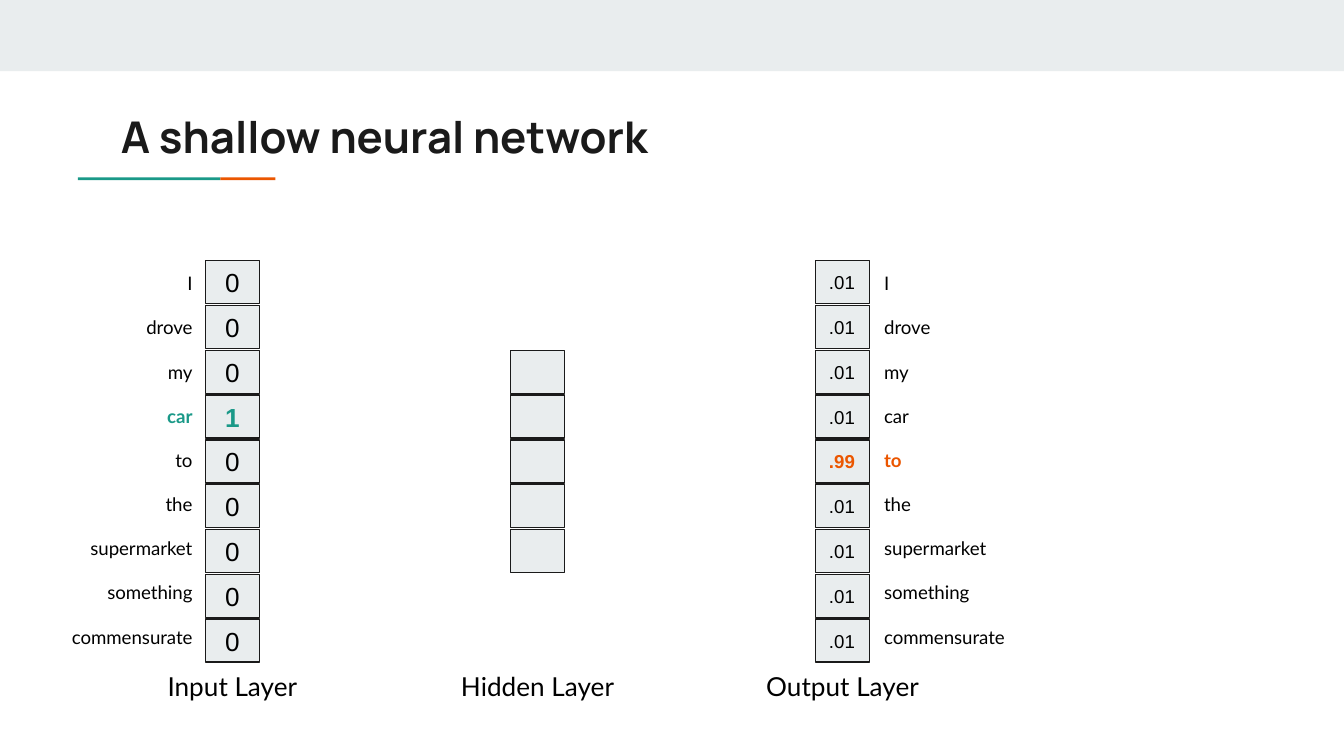
from dataclasses import dataclass

from pptx import Presentation
from pptx import util as u
from pptx.dml.color import RGBColor
from pptx.enum import shapes, text


@dataclass(frozen=True)
class Theme:
    ink: str = "1A1A1A"
    black: str = "000000"
    pale: str = "E9EDEE"
    teal: str = "1A9988"
    orange: str = "EB5600"
    title_font: str = "Manrope"
    label_font: str = "Lato"
    cell_font: str = "Arial"
    title_size: float = 23.4
    large: float = 14
    small: float = 10


THEME = Theme()
LEFT, CENTER, RIGHT = text.PP_ALIGN.LEFT, text.PP_ALIGN.CENTER, text.PP_ALIGN.RIGHT

WORDS = ["I", "drove", "my", "car", "to", "the",
         "supermarket", "something", "commensurate"]
WIDE_WORDS = {"supermarket": 1.1, "commensurate": 1.19}
WORD_WIDTH = 0.89
INPUT_WORD, OUTPUT_WORD = "car", "to"
HIDDEN_ROWS = range(2, 7)

# Grid in inches: one row per word, one column of cells per layer
WIDTH = 10
HEIGHT = WIDTH * 9 / 16
TOP, LAST_WORD_TOP = 1.94, 4.57
CELL_PITCH = 1 / 3
WORD_PITCH = (LAST_WORD_TOP - TOP) / (len(WORDS) - 1)
CELL_WIDTH, CELL_HEIGHT = 0.4, 0.32
INPUT_X, HIDDEN_X, OUTPUT_X = 1.53, 3.8, 6.07
CAPTION_Y, CAPTION_HEIGHT, WORD_HEIGHT = 4.89, 0.44, 0.37


def inches(*lengths):
    return [u.Inches(length) for length in lengths]


def write(shape, words, size, font, color=THEME.black, bold=False,
          align=LEFT, anchor=text.MSO_ANCHOR.TOP):
    frame = shape.text_frame
    frame.word_wrap = True
    frame.vertical_anchor = anchor
    frame.margin_left = frame.margin_right = u.Inches(0.1)
    frame.margin_top = frame.margin_bottom = u.Inches(0.1)
    para = frame.paragraphs[0]
    para.alignment = align
    span = para.add_run()
    span.text = words
    span.font.size = u.Pt(size)
    span.font.name = font
    span.font.bold = bold
    span.font.color.rgb = RGBColor.from_string(color)


def add_block(page, x, y, width, height, fill, line=None):
    block = page.shapes.add_shape(
        shapes.MSO_SHAPE.RECTANGLE, *inches(x, y, width, height))
    block.shadow.inherit = False
    block.fill.solid()
    block.fill.fore_color.rgb = RGBColor.from_string(fill)
    if line:
        block.line.color.rgb = RGBColor.from_string(line)
        block.line.width = u.Pt(0.75)
    else:
        block.line.fill.background()
    return block


def add_label(page, x, y, width, height, words, size, **style):
    box = page.shapes.add_textbox(*inches(x, y, width, height))
    write(box, words, size, THEME.label_font, **style)


def add_cell(page, x, row):
    return add_block(page, x, TOP + row * CELL_PITCH, CELL_WIDTH, CELL_HEIGHT,
                     THEME.pale, THEME.ink)


def add_caption(page, x, width, words):
    """Centre a layer name below its column of cells."""
    add_label(page, x + (CELL_WIDTH - width) / 2, CAPTION_Y, width,
              CAPTION_HEIGHT, words, THEME.large, align=CENTER)


def add_word_layer(page, x, active, accent, on, off, size, cell_align, word_align):
    """Draw a column of values with a word beside each one."""
    for row, word in enumerate(WORDS):
        is_active = word == active
        style = {"color": accent if is_active else THEME.black, "bold": is_active}
        write(add_cell(page, x, row), on if is_active else off, size,
              THEME.cell_font, align=cell_align,
              anchor=text.MSO_ANCHOR.MIDDLE, **style)
        width = WIDE_WORDS.get(word, WORD_WIDTH)
        word_x = x - width if word_align == RIGHT else x + CELL_WIDTH + 0.01
        add_label(page, word_x, TOP + row * WORD_PITCH, width, WORD_HEIGHT,
                  word, THEME.small, align=word_align, **style)


def add_heading(page):
    # Band across the top and two-colour rule under the title
    add_block(page, 0, 0, WIDTH, 0.53, THEME.pale)
    add_block(page, 0.58, 1.32, 1.06, 0.02, THEME.teal)
    add_block(page, 1.64, 1.32, 0.41, 0.02, THEME.orange)
    title = page.shapes.title
    title.left, title.top, title.width, title.height = inches(0.8, 0.72, 8.41, 0.59)
    write(title, "A shallow neural network", THEME.title_size, THEME.title_font,
          THEME.ink, bold=True, anchor=text.MSO_ANCHOR.MIDDLE)
    title.text_frame.auto_size = text.MSO_AUTO_SIZE.NONE


def main():
    deck = Presentation()
    deck.slide_width, deck.slide_height = inches(WIDTH, HEIGHT)
    page = deck.slides.add_slide(deck.slide_layouts[5])
    add_heading(page)

    # Hidden layer
    for row in HIDDEN_ROWS:
        add_cell(page, HIDDEN_X, row)
    add_caption(page, HIDDEN_X, 1.52, "Hidden Layer")

    # Input layer: one-hot word
    add_word_layer(page, INPUT_X, INPUT_WORD, THEME.teal, "1", "0",
                   THEME.large, CENTER, RIGHT)
    add_caption(page, INPUT_X, 1.3, "Input Layer")

    # Output layer: probability of each next word
    add_word_layer(page, OUTPUT_X, OUTPUT_WORD, THEME.orange, ".99", ".01",
                   THEME.small, LEFT, LEFT)
    add_caption(page, OUTPUT_X, 1.52, "Output Layer")

    deck.save("out.pptx")


if __name__ == "__main__":
    main()
